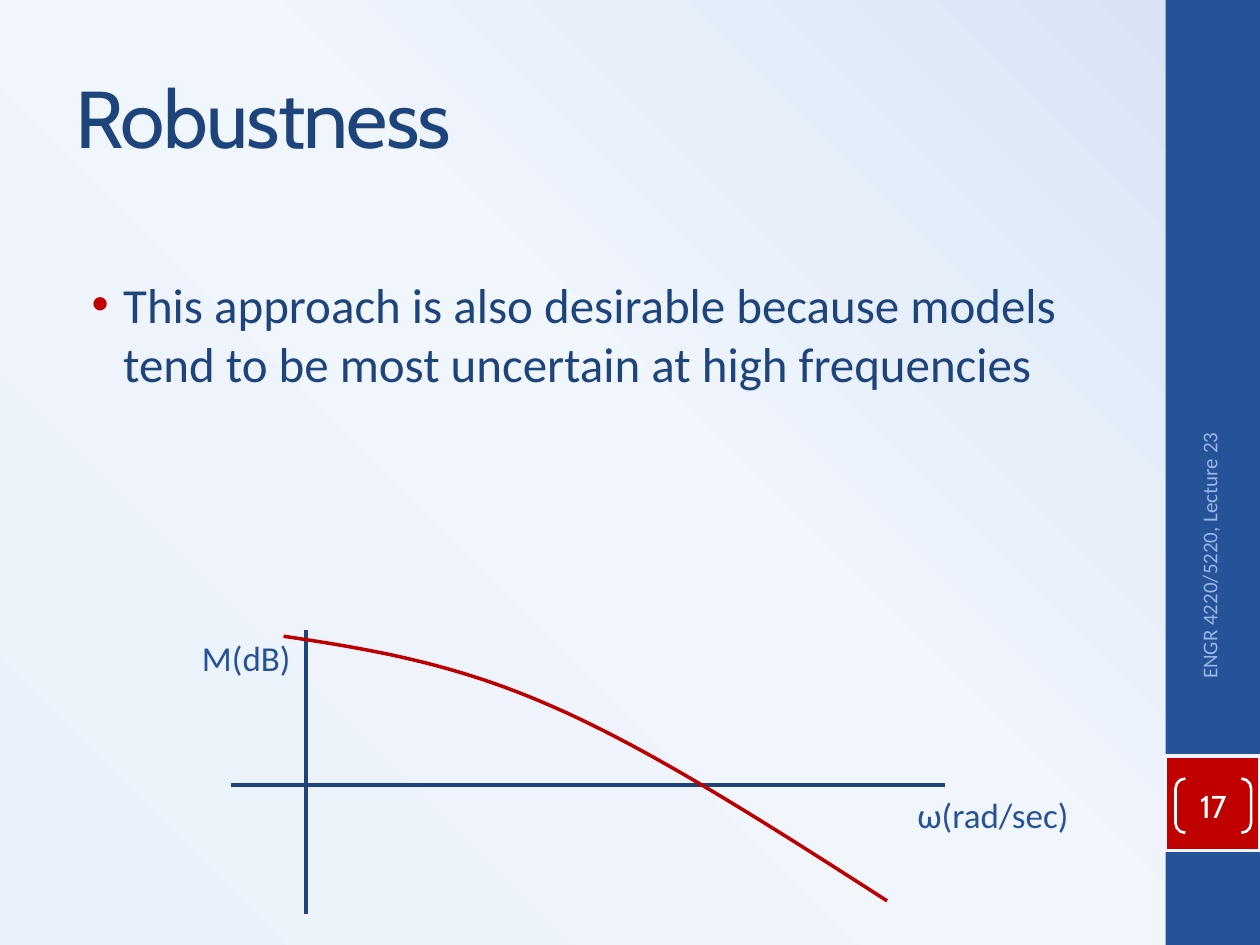
from lxml import etree
from pptx import Presentation
from pptx import util as u
from pptx.dml.color import RGBColor
from pptx.enum import shapes, text
from pptx.oxml import parse_xml
from pptx.oxml.ns import nsdecls, qn

COLORS = {"navy": "1E447C", "blue": "265397", "pale": "98B7E5", "red": "C00000",
          "curve": "BC0000", "mist": "F2F6FC", "white": "FFFFFF"}
BACKDROP = [(0, "EAF1FA"), (52, "F1F6FD"), (100, "D6E2F5")]
COLUMNS, ROWS = 40, 30
LEFT, CENTER, RIGHT = text.PP_ALIGN.LEFT, text.PP_ALIGN.CENTER, text.PP_ALIGN.RIGHT
MIDDLE, TOP = text.MSO_ANCHOR.MIDDLE, text.MSO_ANCHOR.TOP


def write(shape, words, size=18, color="navy", font="Calibri", align=LEFT,
          anchor=TOP, wrap=True, bullet=None, spacing=None, inset=None):
    frame = shape.text_frame
    frame.word_wrap, frame.vertical_anchor = wrap, anchor
    frame.auto_size = text.MSO_AUTO_SIZE.NONE
    if inset is not None:
        frame.margin_left = frame.margin_right = u.Inches(inset)
        frame.margin_top = frame.margin_bottom = u.Inches(inset)
    paragraph = frame.paragraphs[0]
    paragraph.alignment = align
    if bullet:
        properties = paragraph._p.get_or_add_pPr()
        properties.set("marL", str(u.Inches(0.38)))
        properties.set("indent", str(u.Inches(-0.25)))
        bullet_color = etree.SubElement(properties, qn("a:buClr"))
        etree.SubElement(bullet_color, qn("a:srgbClr"), val=COLORS["red"])
        etree.SubElement(properties, qn("a:buFont"), typeface="Arial")
        etree.SubElement(properties, qn("a:buChar"), char=bullet)
    run = paragraph.add_run()
    run.text = words
    run.font.size, run.font.name = u.Pt(size), font
    run.font.color.rgb = RGBColor.from_string(COLORS[color])
    if spacing is not None:
        run.font._element.set("spc", str(spacing * 100))


class Deck:
    """Holds the style and the current slide, placed on a grid of columns and rows."""

    def __init__(self):
        self.presentation = Presentation()
        self.presentation.slide_width, self.presentation.slide_height = u.Inches(10), u.Inches(7.5)
        self.slide = self.presentation.slides.add_slide(self.presentation.slide_layouts[5])

    def place(self, column, row):
        return (round(column * self.presentation.slide_width / COLUMNS),
                round(row * self.presentation.slide_height / ROWS))

    def box(self, column, row, columns, rows):
        return self.place(column, row) + self.place(columns, rows)

    def outline(self, shape, color, width):
        shape.line.color.rgb = RGBColor.from_string(COLORS[color])
        shape.line.width = u.Pt(width)

    def background(self, stops):
        marks = "".join(f'<a:gs pos="{share * 1000}"><a:srgbClr val="{color}"/></a:gs>'
                        for share, color in stops)
        self.slide._element.cSld.insert(0, parse_xml(
            f'<p:bg {nsdecls("p", "a")}><p:bgPr><a:gradFill rotWithShape="1"><a:gsLst>{marks}</a:gsLst>'
            '<a:path path="circle"><a:fillToRect t="100000" r="100000"/></a:path>'
            '</a:gradFill><a:effectLst/></p:bgPr></p:bg>'))

    def title(self, words, area, **style):
        shape = self.slide.shapes.title
        shape.left, shape.top, shape.width, shape.height = self.box(*area)
        write(shape, words, **style)

    def label(self, words, area, rotation=0, **style):
        shape = self.slide.shapes.add_textbox(*self.box(*area))
        shape.rotation = rotation
        write(shape, words, **style)

    def shape(self, kind, area, fill=None, line=None, width=2):
        shape = self.slide.shapes.add_shape(kind, *self.box(*area))
        shape.shadow.inherit = False
        if fill:
            shape.fill.solid()
            shape.fill.fore_color.rgb = RGBColor.from_string(COLORS[fill])
        else:
            shape.fill.background()
        if line:
            self.outline(shape, line, width)
        else:
            shape.line.fill.background()
        return shape

    def axis(self, start, end):
        line = self.slide.shapes.add_connector(
            shapes.MSO_CONNECTOR.STRAIGHT, *self.place(*start), *self.place(*end))
        self.outline(line, "navy", 2)
        etree.SubElement(line._element.spPr, qn("a:effectLst"))

    def curve(self, start, segments, steps=24):
        points, origin = [], start
        for first, second, end in segments:
            for t in (step / steps for step in range(1, steps + 1)):
                weights = ((1 - t) ** 3, 3 * t * (1 - t) ** 2, 3 * t * t * (1 - t), t ** 3)
                corners = zip(origin, first, second, end)
                points.append(self.place(*(sum(w * c for w, c in zip(weights, values))
                                           for values in corners)))
            origin = end
        builder = self.slide.shapes.build_freeform(*self.place(*start))
        builder.add_line_segments(points, close=False)
        shape = builder.convert_to_shape()
        shape.shadow.inherit = False
        shape.fill.background()
        self.outline(shape, "curve", 2)


def main():
    deck = Deck()
    deck.background(BACKDROP)
    rectangle = shapes.MSO_SHAPE.RECTANGLE
    deck.shape(rectangle, (37, 0, 3, 30), fill="blue")
    deck.shape(rectangle, (37, 24, 3, 3), fill="red", line="mist")
    deck.title("Robustness", (2, 1.2, 33.32, 5), size=46, font="Cabin", anchor=MIDDLE, spacing=-1)
    deck.label("This approach is also desirable because models tend to be most uncertain "
               "at high frequencies", (2, 8.52, 33.32, 19.48), size=28, bullet="•")
    deck.label("ENGR 4220/5220, Lecture 23", (33.2, 17.72, 10.36, 1.6), rotation=270,
               size=12, color="pale", align=RIGHT, anchor=MIDDLE)
    deck.axis((9.72, 20), (9.72, 29))
    deck.axis((30, 24.92), (7.32, 24.92))
    for words, area in (("ω(rad/sec)", (28.68, 25, 5.68, 1.76)), ("M(dB)", (6, 20, 3.64, 1.76))):
        deck.label(words, area, size=20, color="blue", align=CENTER, wrap=False)
    deck.curve((9, 20.2), [((11.68, 20.6), (14.4, 21.04), (17.56, 22.44)),
                           ((20.76, 23.84), (24.48, 26.24), (28.16, 28.6))])
    number = deck.shape(shapes.MSO_SHAPE.DOUBLE_BRACKET, (37.32, 24.72, 2.4, 1.72),
                        line="white", width=1.5)
    number.adjustments[0] = 0.18
    write(number, "17", color="white", font="Cabin", align=CENTER, anchor=MIDDLE, inset=0)
    deck.presentation.save("out.pptx")


if __name__ == "__main__":
    main()
